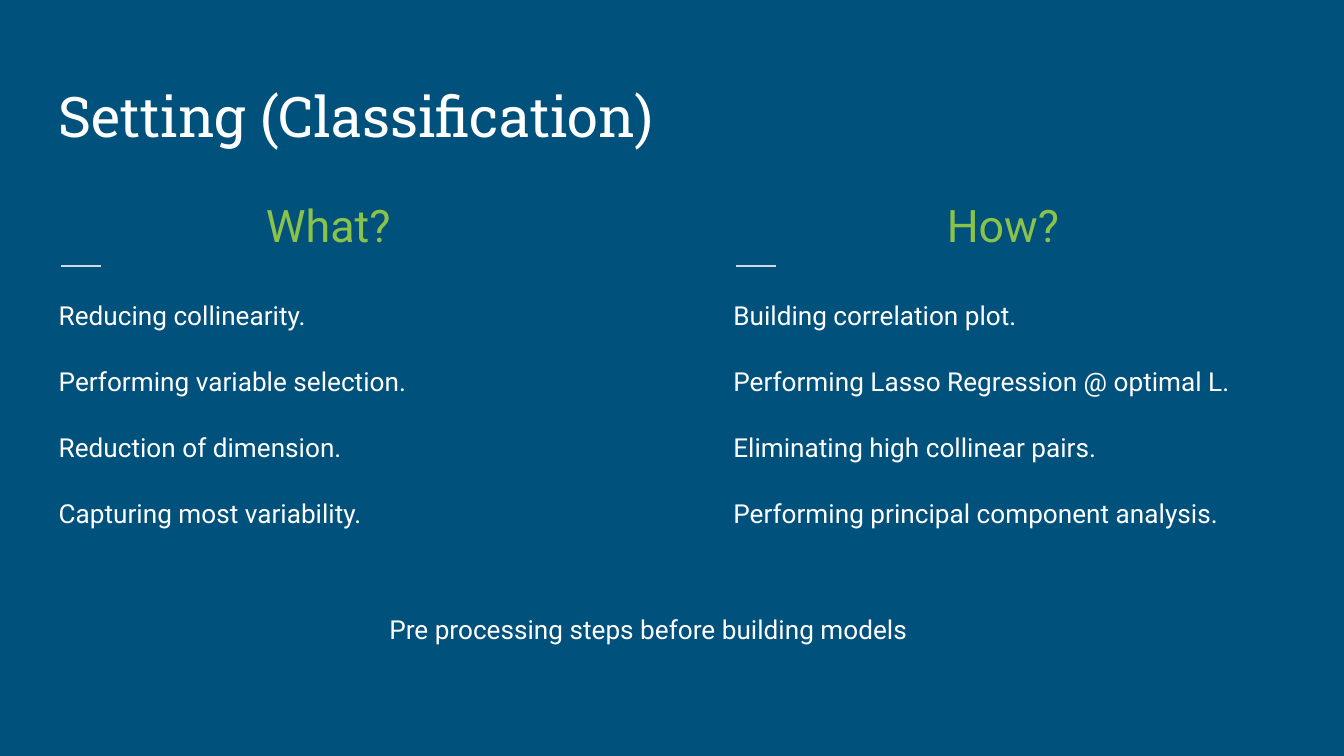
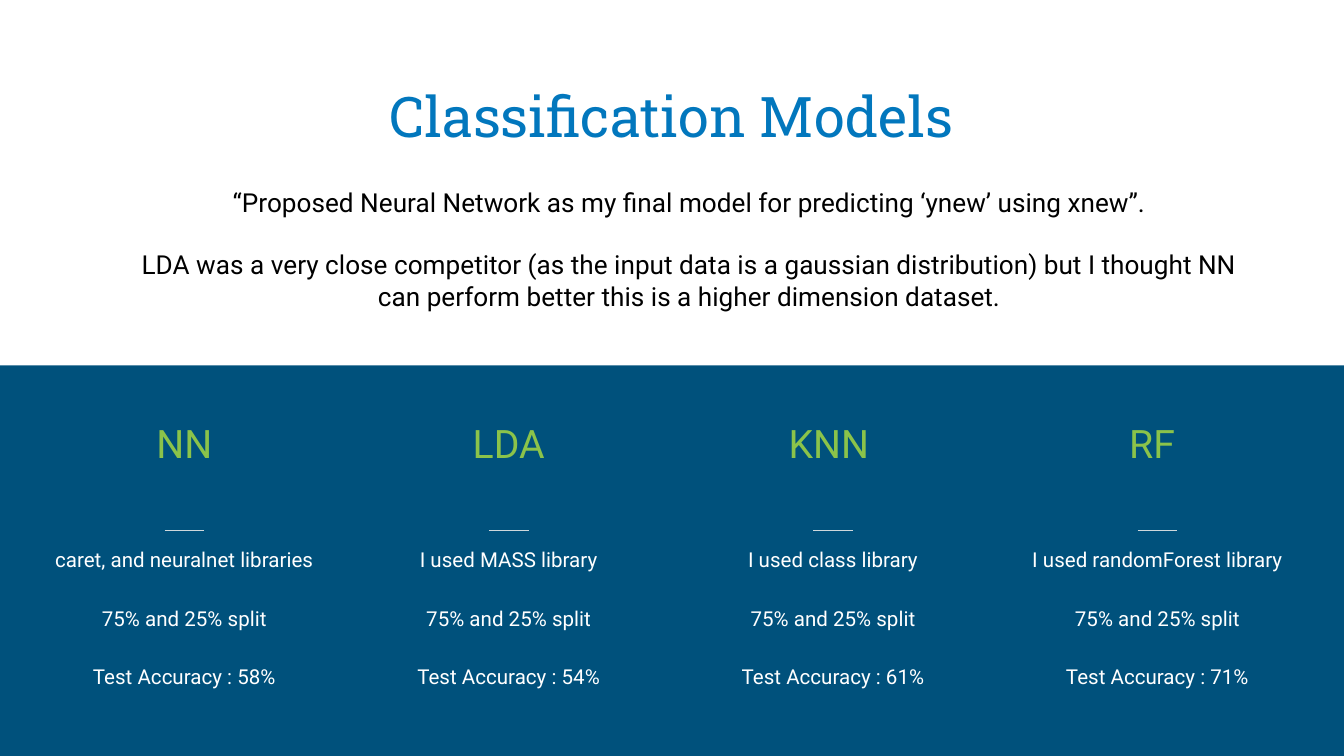
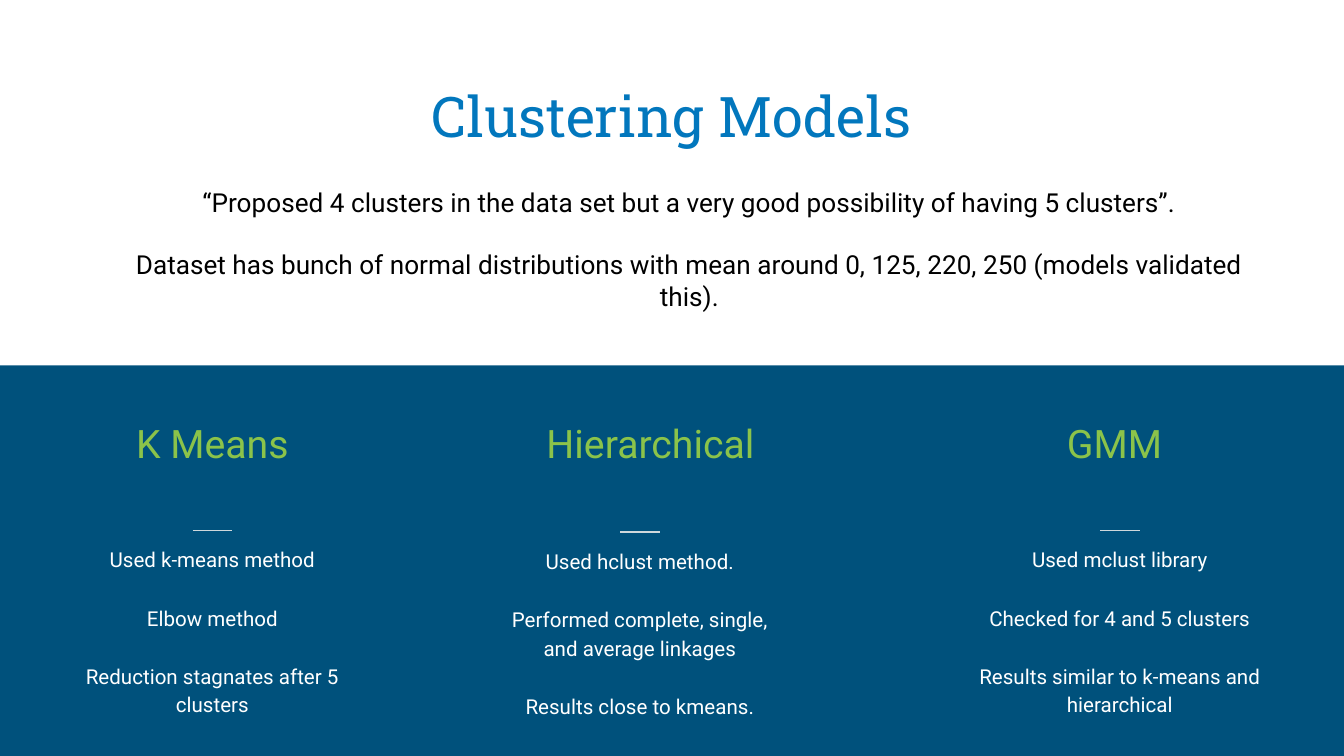
from lxml import etree
from pptx import Presentation
from pptx import util as u
from pptx.dml.color import RGBColor
from pptx.enum import shapes, text
from pptx.oxml import ns

HUES = {
    "navy": "00517C",
    "blue": "0277BD",
    "green": "8BC34A",
    "rule": "CFD8DC",
    "white": "FFFFFF",
    "black": "000000",
}
WIDE, HIGH = 25.4, 14.29
PAD = u.Cm(0.25)
MID = text.PP_ALIGN.CENTER
LEFT = text.PP_ALIGN.LEFT
RULE = 0.75  # length of a short rule
CARD = 6.05  # width of a model column


def hue(name):
    return RGBColor.from_string(HUES[name])


def write(slide, box, lines, size=14, color="white", font="Roboto",
          align=MID, space=1.0, gap=0, anchor=text.MSO_ANCHOR.TOP):
    """Put one paragraph per line in box (left, top, width, height in cm)."""
    frame = slide.shapes.add_textbox(*map(u.Cm, box)).text_frame
    frame.word_wrap = True
    frame.vertical_anchor = anchor
    frame.margin_left = frame.margin_right = PAD
    frame.margin_top = frame.margin_bottom = PAD
    for i, line in enumerate(lines):
        para = frame.paragraphs[0] if i == 0 else frame.add_paragraph()
        para.alignment = align
        para.line_spacing = space
        para.space_before = u.Pt(gap if i else 0)
        run = para.add_run()
        run.text = line
        run.font.name = font
        run.font.size = u.Pt(size)
        run.font.color.rgb = hue(color)


def rule(slide, left, top):
    line = slide.shapes.add_connector(
        shapes.MSO_CONNECTOR.STRAIGHT,
        u.Cm(left), u.Cm(top), u.Cm(left + RULE), u.Cm(top))
    line.line.color.rgb = hue("rule")
    line.line.width = u.Pt(0.75)
    etree.SubElement(line._element.spPr, ns.qn("a:effectLst"))


def band(slide):
    shape = slide.shapes.add_shape(
        shapes.MSO_SHAPE.RECTANGLE, 0, 0, u.Cm(WIDE), u.Cm(6.91))
    shape.shadow.inherit = False
    shape.fill.solid()
    shape.fill.fore_color.rgb = hue("white")
    shape.line.fill.background()


def start(deck):
    slide = deck.slides.add_slide(deck.slide_layouts[6])
    slide.background.fill.solid()
    slide.background.fill.fore_color.rgb = hue("navy")
    return slide


def title(slide, words, **form):
    write(slide, (0.86, 1.04, 23.67, 2.03), [words], size=30,
          font="Roboto Slab", anchor=text.MSO_ANCHOR.BOTTOM, **form)


def column(slide, left, head, lines):
    write(slide, (left, 3.33, 10.69, 1.45), [head], size=24,
          color="green", space=1.15)
    rule(slide, left + 0.3, 5.03)
    write(slide, (left, 5.33, 10.69, 5.92), lines, align=LEFT,
          space=1.15, gap=16)


def card(slide, left, head, lines, shift=0, drop=0):
    """Draw a model column; shift moves its head, drop lowers the rest."""
    top = 10.03 + drop
    write(slide, (left + shift, 7.54, CARD, 1.22), [head], size=21,
          color="green", space=1.15)
    rule(slide, left + (CARD - RULE) / 2, top)
    write(slide, (left, top, CARD, 3.73), lines, size=11,
          space=1.15, gap=16)


def models(deck, head, lead):
    """Add a slide with a white upper band, its title and lead text."""
    slide = start(deck)
    band(slide)
    title(slide, head, color="blue")
    write(slide, (2.26, 3.28, 21.54, 2.9), lead, color="black", gap=16.5)
    return slide


def setting(deck):
    slide = start(deck)
    title(slide, "Setting (Classification)", align=LEFT)
    column(slide, 0.86, "What?", [
        "Reducing collinearity.",
        "Performing variable selection.",
        "Reduction of dimension.",
        "Capturing most variability."])
    column(slide, 13.61, "How?", [
        "Building correlation plot.",
        "Performing Lasso Regression @ optimal L.",
        "Eliminating high collinear pairs.",
        "Performing principal component analysis."])
    write(slide, (2.82, 11.35, 18.87, 1.12),
          ["Pre processing steps before building models"])


def classes(deck):
    slide = models(deck, "Classification Models", [
        "“Proposed Neural Network as my final model for predicting "
        "‘ynew’ using xnew”.",
        "LDA was a very close competitor (as the input data is a gaussian "
        "distribution) but I thought NN can perform better this is a higher "
        "dimension dataset."])
    cards = [
        ("NN", "caret, and neuralnet libraries", 58, 0),
        ("LDA", "I used MASS library", 54, 0),
        ("KNN", "I used class library", 61, -0.08),
        ("RF", "I used randomForest library", 71, -0.1),
    ]
    for i, (head, tool, score, shift) in enumerate(cards):
        lines = [tool, "75% and 25% split", f"Test Accuracy : {score}%"]
        card(slide, 0.46 + 6.13 * i, head, lines, shift)


def clusters(deck):
    slide = models(deck, "Clustering Models", [
        "“Proposed 4 clusters in the data set but a very good possibility "
        "of having 5 clusters”.",
        "Dataset has bunch of normal distributions with mean around "
        "0, 125, 220, 250 (models validated this)."])
    card(slide, 0.99, "K Means", [
        "Used k-means method",
        "Elbow method",
        "Reduction stagnates after 5 clusters"])
    card(slide, 9.07, "Hierarchical", [
        "Used hclust method.",
        "Performed complete, single, and average linkages",
        "Results close to kmeans."], shift=0.2, drop=0.03)
    card(slide, 18.14, "GMM", [
        "Used mclust library",
        "Checked for 4 and 5 clusters",
        "Results similar to k-means and hierarchical"], shift=-0.1)


def main():
    deck = Presentation()
    deck.slide_width, deck.slide_height = u.Cm(WIDE), u.Cm(HIGH)
    setting(deck)
    classes(deck)
    clusters(deck)
    deck.save("out.pptx")


if __name__ == "__main__":
    main()
